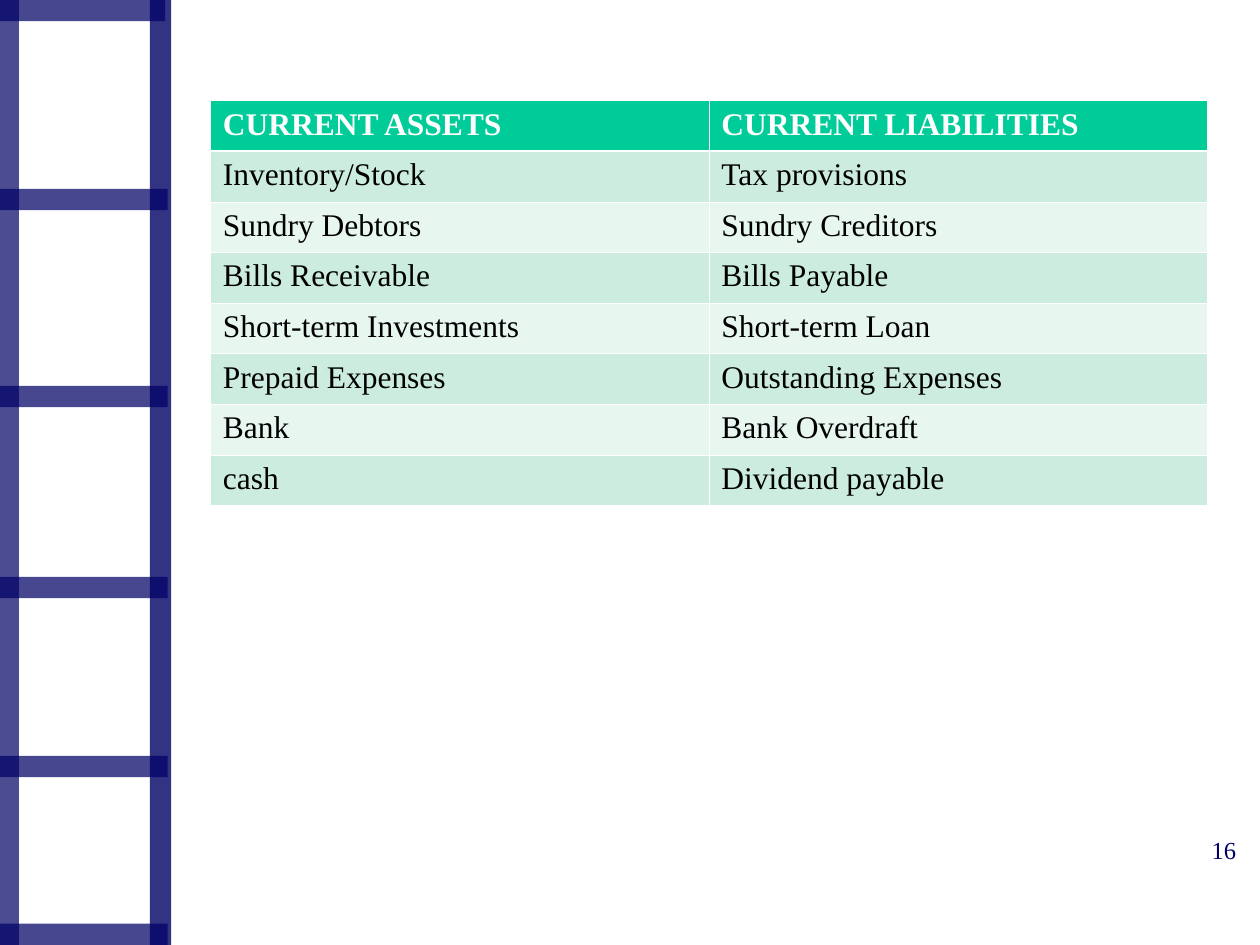
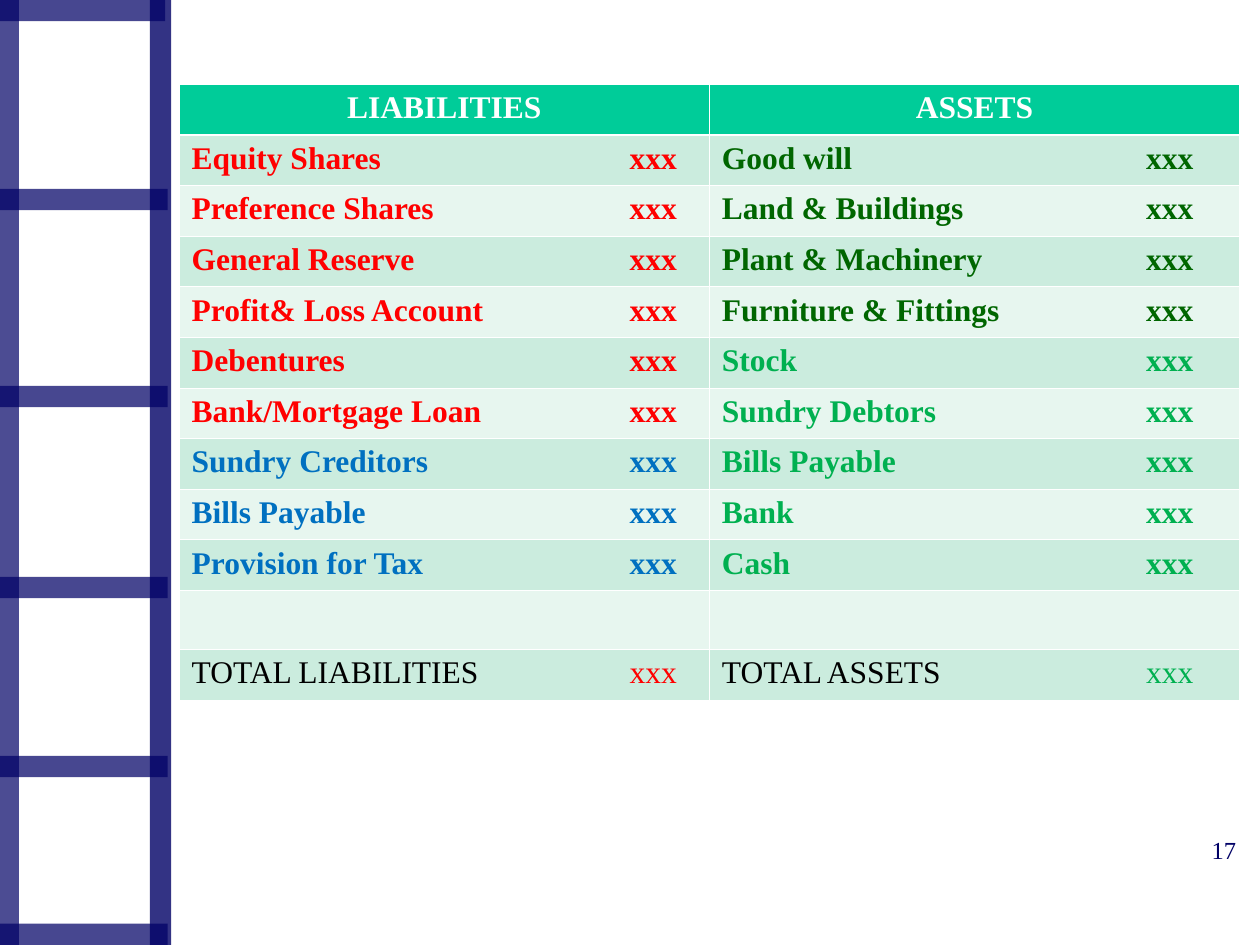
import dataclasses
import typing

import lxml.etree
import pptx
import pptx.dml.color
import pptx.enum.shapes
import pptx.enum.text
import pptx.oxml
import pptx.oxml.ns
import pptx.slide
import pptx.table
import pptx.util

Cm = pptx.util.Cm
RGBColor = pptx.dml.color.RGBColor
Align = pptx.enum.text.PP_ALIGN

NAVY = RGBColor(0x00, 0x00, 0x66)
WHITE = RGBColor(0xFF, 0xFF, 0xFF)
BLACK = RGBColor(0x00, 0x00, 0x00)
HEADER_GREEN = RGBColor(0x00, 0xCC, 0x99)
ROW_FILLS = (RGBColor(0xCB, 0xEC, 0xDE), RGBColor(0xE7, 0xF6, 0xEF))
RED = RGBColor(0xFF, 0x00, 0x00)
BLUE = RGBColor(0x00, 0x70, 0xC0)
DARK_GREEN = RGBColor(0x00, 0x66, 0x00)
GREEN = RGBColor(0x00, 0xB0, 0x50)

FONT = "Times New Roman"
ROW_HEIGHT = 1.02
THIN, THICK = 0.45, 1.47


@dataclasses.dataclass(frozen=True)
class Band:
    left: float
    top: float
    width: float
    height: float
    opacity: int


@dataclasses.dataclass(frozen=True)
class Entry:
    label: str
    color: RGBColor = BLACK
    bold: bool = False
    amount: str = ""
    amount_color: typing.Optional[RGBColor] = None
    align: Align = Align.LEFT


@dataclasses.dataclass(frozen=True)
class Ledger:
    number: int
    left: float
    top: float
    column_width: float
    rows: list[tuple[Entry, ...]]
    amount_stops: tuple[float, float] = (0, 0)
    tall_rows: dict[int, float] = dataclasses.field(default_factory=dict)


BANDS = [
    Band(-0.05, 0, 0.43, 19.05, 70),
    Band(3.02, 0, 0.43, 19.05, 80),
    Band(-0.05, 0, 3.38, 0.43, 72),
    *(Band(0, top, 3.38, 0.43, 72) for top in (3.81, 7.78, 11.63, 15.24, 18.62)),
]


def heading(label: str, align: Align = Align.LEFT) -> Entry:
    return Entry(label, WHITE, True, align=align)


def item(label: str, color: RGBColor) -> Entry:
    return Entry(label, color, True, "xxx")


def total(label: str, amount_color: RGBColor) -> Entry:
    return Entry(label, amount="xxx", amount_color=amount_color)


CURRENT_ITEMS = [
    ("Inventory/Stock", "Tax provisions"),
    ("Sundry Debtors", "Sundry Creditors"),
    ("Bills Receivable", "Bills Payable"),
    ("Short-term Investments", "Short-term Loan"),
    ("Prepaid Expenses", "Outstanding Expenses"),
    ("Bank", "Bank Overdraft"),
    ("cash", "Dividend payable"),
]

LIABILITIES = {
    RED: ["Equity Shares", "Preference Shares", "General Reserve",
          "Profit& Loss Account", "Debentures", "Bank/Mortgage Loan"],
    BLUE: ["Sundry Creditors", "Bills Payable", "Provision for Tax"],
}
ASSETS = {
    DARK_GREEN: ["Good will", "Land & Buildings", "Plant & Machinery",
                 "Furniture & Fittings"],
    GREEN: ["Stock", "Sundry Debtors", "Bills Payable", "Bank", "Cash"],
}


def items(groups: dict[RGBColor, list[str]]) -> list[Entry]:
    return [item(label, color) for color, labels in groups.items() for label in labels]


LEDGERS = [
    Ledger(16, 4.24, 2.03, 10.05, [
        (heading("CURRENT ASSETS"), heading("CURRENT LIABILITIES")),
        *((Entry(asset), Entry(liability)) for asset, liability in CURRENT_ITEMS),
    ]),
    Ledger(17, 3.61, 1.7, 10.69, [
        (heading("LIABILITIES", Align.CENTER), heading("ASSETS", Align.CENTER)),
        *zip(items(LIABILITIES), items(ASSETS)),
        (Entry(""), Entry("")),
        (total("TOTAL LIABILITIES", RED), total("TOTAL ASSETS", GREEN)),
    ], amount_stops=(8.83, 8.55), tall_rows={10: 1.19}),
]


def add_element(parent: typing.Any, tag: str, **attributes: str) -> typing.Any:
    return lxml.etree.SubElement(parent, pptx.oxml.ns.qn(tag), attributes)


def draw_band(page: pptx.slide.Slide, band: Band) -> None:
    bar = page.shapes.add_shape(
        pptx.enum.shapes.MSO_SHAPE.RECTANGLE,
        Cm(band.left), Cm(band.top), Cm(band.width), Cm(band.height))
    bar.shadow.inherit = False
    bar.line.fill.background()
    bar.fill.solid()
    bar.fill.fore_color.rgb = NAVY
    color = bar.fill._xPr.find(".//" + pptx.oxml.ns.qn("a:srgbClr"))
    add_element(color, "a:alpha", val=str(band.opacity * 1000))


def draw_page_number(page: pptx.slide.Slide, number: int) -> None:
    box = page.shapes.add_textbox(Cm(19.89), Cm(16.71), Cm(5.28), Cm(1.27))
    box.text_frame.word_wrap = True
    para = box.text_frame.paragraphs[0]
    para.text = str(number)
    para.alignment = Align.RIGHT
    para.font.name = FONT
    para.font.size = pptx.util.Pt(14)
    para.font.color.rgb = NAVY


def set_borders(cell: pptx.table._Cell, top: float, bottom: float) -> None:
    properties = cell._tc.get_or_add_tcPr()
    for side, width in (("L", THIN), ("R", THIN), ("T", top), ("B", bottom)):
        line = add_element(properties, "a:ln" + side, w=str(pptx.util.Pt(width)))
        fill = add_element(line, "a:solidFill")
        add_element(fill, "a:srgbClr", val=str(WHITE))


def write_entry(cell: pptx.table._Cell, entry: Entry, amount_stop: float) -> None:
    para = cell.text_frame.paragraphs[0]
    para.alignment = entry.align
    if entry.amount:
        stops = add_element(para._p.get_or_add_pPr(), "a:tabLst")
        add_element(stops, "a:tab", pos=str(Cm(amount_stop)), algn="l")
    para.font.name = FONT
    para.font.size = pptx.util.Pt(18)
    para.font.bold = entry.bold
    para.font.color.rgb = entry.color
    if entry.label:
        para.add_run().text = entry.label
    if entry.amount:
        span = para.add_run()
        span.text = "\t" + entry.amount
        if entry.amount_color is not None:
            span.font.color.rgb = entry.amount_color


def draw_ledger(page: pptx.slide.Slide, ledger: Ledger) -> None:
    heights = [ledger.tall_rows.get(index, ROW_HEIGHT) for index in range(len(ledger.rows))]
    table = page.shapes.add_table(
        len(ledger.rows), 2, Cm(ledger.left), Cm(ledger.top),
        Cm(2 * ledger.column_width), Cm(sum(heights))).table
    table.first_row = False
    table.horz_banding = False
    for column in table.columns:
        column.width = Cm(ledger.column_width)
    for row_index, entries in enumerate(ledger.rows):
        table.rows[row_index].height = Cm(heights[row_index])
        for column_index, entry in enumerate(entries):
            cell = table.cell(row_index, column_index)
            set_borders(cell, THICK if row_index == 1 else THIN,
                        THICK if row_index == 0 else THIN)
            cell.fill.solid()
            cell.fill.fore_color.rgb = (
                ROW_FILLS[(row_index - 1) % 2] if row_index else HEADER_GREEN)
            write_entry(cell, entry, ledger.amount_stops[column_index])


def main() -> None:
    deck = pptx.Presentation()
    deck.slide_width, deck.slide_height = Cm(25.4), Cm(19.05)
    for ledger in LEDGERS:
        page = deck.slides.add_slide(deck.slide_layouts[6])
        for band in BANDS:
            draw_band(page, band)
        draw_page_number(page, ledger.number)
        draw_ledger(page, ledger)
    deck.save("out.pptx")


if __name__ == "__main__":
    main()
